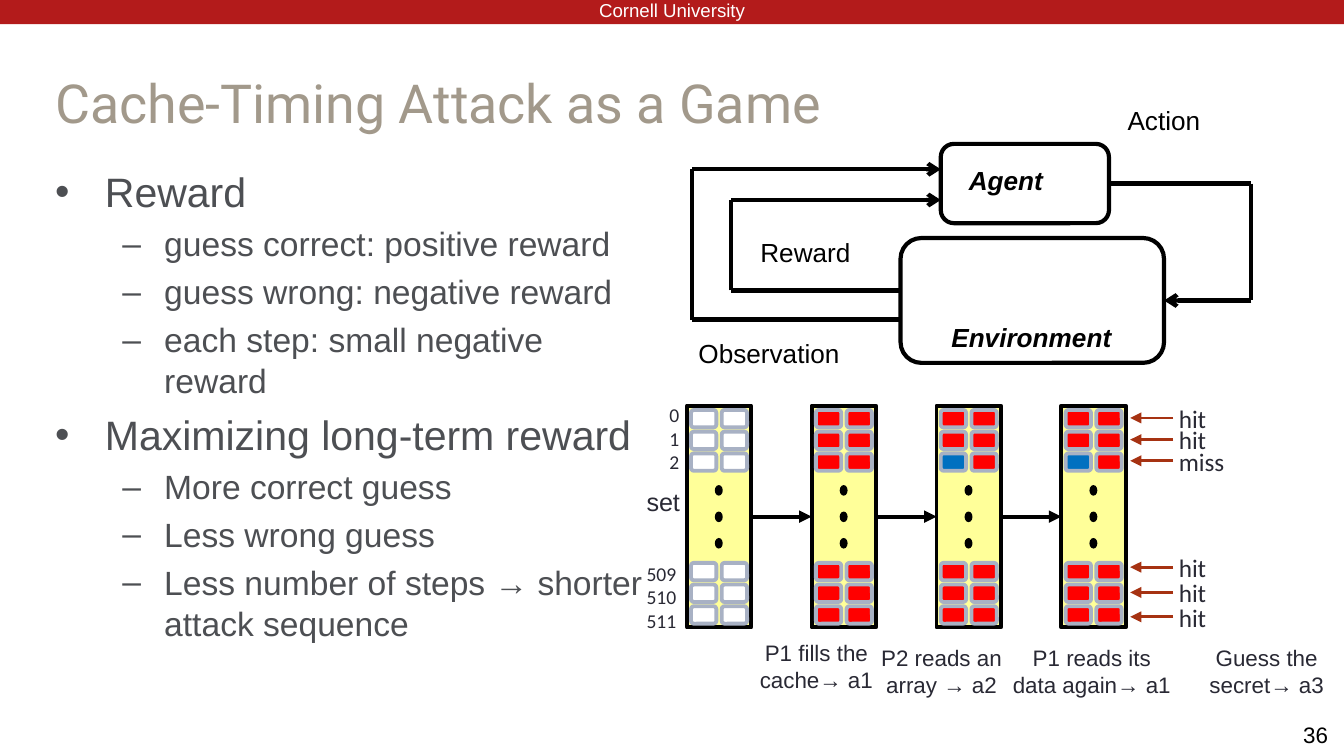
from itertools import pairwise, product

from lxml.etree import SubElement
from pptx import Presentation
from pptx.dml.color import RGBColor
from pptx.enum.shapes import MSO_CONNECTOR as Connector, MSO_SHAPE as Shape
from pptx.enum.text import MSO_ANCHOR as Anchor, MSO_AUTO_SIZE as AutoSize, PP_ALIGN as Align
from pptx.oxml.ns import qn
from pptx.util import Cm, Pt

COLORS = {
    "band": "B31B1B", "title": "A2998B", "body": "4D4F53", "label": "292934",
    "black": "000000", "white": "FFFFFF", "cache": "FFFF99", "border": "A8B1C4",
    "P1": "FF0000", "P2": "0070C0", "empty": "FFFFFF", "probe": "A63212",
}

TITLE = "Cache-Timing Attack as a Game"
GOALS = [
    ("Reward", [
        "guess correct: positive reward",
        "guess wrong: negative reward",
        "each step: small negative reward",
    ]),
    ("Maximizing long-term reward", [
        "More correct guess",
        "Less wrong guess",
        "Less number of steps → shorter attack sequence",
    ]),
]
LEVELS = [
    {"size": 22, "bullet": "•", "margin": 0.94, "hanging": 0.94},
    {"size": 18, "bullet": "–", "margin": 2.06, "hanging": 0.79},
]
CACHE_STATES = [("empty", "empty"), ("P1", "P1"), ("P1", "P2"), ("P1", "P2")]
SET_LABELS = [
    (["0", "1", "2"], 12.47, 7.52, 0.48, 1.55, "Calibri", 10.5),
    (["set"], 12.04, 9.09, 1.42, 0.79, "Arial", 13.5),
    (["509", "510", "511"], 12.04, 10.52, 1.63, 1.55, "Calibri", 10.5),
]
PROBES = [("hit", 7.9), ("hit", 8.31), ("miss", 8.71),
          ("hit", 10.72), ("hit", 11.2), ("hit", 11.66)]
STEPS = [
    ("P1 fills the cache→ a1", 13.87, 11.99, 3.12),
    ("P2 reads an array → a2", 16.41, 12.07, 2.77),
    ("P1 reads its data again→ a1", 18.92, 12.07, 3.43),
    ("Guess the secret→ a3", 22.48, 12.07, 2.92),
]
FEEDBACK = [
    [(17.02, 5.49), (13.82, 5.49), (13.82, 3.78), (17.78, 3.78)],
    [(17.02, 6.04), (13.08, 6.04), (13.08, 3.2), (17.78, 3.2)],
]
LOOP_LABELS = [
    ("Action", 21.06, 1.85, 2.77, False),
    ("Reward", 14.12, 4.34, 5.33, False),
    ("Observation", 12.95, 6.25, 4.42, False),
    ("Agent", 18.06, 2.97, 2.77, True),
    ("Environment", 17.73, 5.94, 5.33, True),
]

CACHE_LEFT, CACHE_TOP, CACHE_GAP = 12.98, 7.67, 2.36
WAY_OFFSETS = [0.08, 0.66]
ROW_OFFSETS = [start + 0.41 * i for start in (0.08, 2.97) for i in range(3)]
DOT_OFFSETS = [1.5 + 0.5 * i for i in range(3)]


def rgb(name):
    return RGBColor.from_string(COLORS[name])


def write(paragraph, text, size=12, font="Arial", color="label",
          bold=False, italic=False, align=Align.LEFT):
    paragraph.alignment = align
    run = paragraph.add_run()
    run.text = text
    run.font.size, run.font.name = Pt(size), font
    run.font.bold, run.font.italic = bold, italic
    run.font.color.rgb = rgb(color)


def place(part, left, top, width, height):
    part.left, part.top = Cm(left), Cm(top)
    part.width, part.height = Cm(width), Cm(height)


def add_label(lines, left, top, width, height, inset=(0.18, 0.1), **style):
    frame = slide.shapes.add_textbox(Cm(left), Cm(top), Cm(width), Cm(height)).text_frame
    frame.word_wrap = True
    frame.margin_left = frame.margin_right = Cm(inset[0])
    frame.margin_top = frame.margin_bottom = Cm(inset[1])
    for i, line in enumerate(lines):
        write(frame.add_paragraph() if i else frame.paragraphs[0], line, **style)


def add_block(kind, left, top, width, height, fill, line=None, weight=2.08):
    block = slide.shapes.add_shape(kind, Cm(left), Cm(top), Cm(width), Cm(height))
    block.shadow.inherit = False
    block.fill.solid()
    block.fill.fore_color.rgb = rgb(fill)
    if line:
        block.line.color.rgb = rgb(line)
        block.line.width = Pt(weight)
    else:
        block.line.fill.background()
    return block


def add_line(start, end, color="black", weight=2.25, arrow=None, source=None, target=None):
    line = slide.shapes.add_connector(Connector.STRAIGHT, *map(Cm, (*start, *end)))
    if source:
        line.begin_connect(*source)
    if target:
        line.end_connect(*target)
    line.line.color.rgb = rgb(color)
    line.line.width = Pt(weight)
    if arrow:
        SubElement(line.line._get_or_add_ln(), qn("a:tailEnd"), type=arrow)
    SubElement(line._element.spPr, qn("a:effectLst"))


def add_goal(paragraph, text, level, first):
    style = LEVELS[level]
    paragraph.level = level
    properties = paragraph._p.get_or_add_pPr()
    properties.set("marL", str(Cm(style["margin"])))
    properties.set("indent", str(-Cm(style["hanging"])))
    paragraph.space_before = Pt(0 if first else round(style["size"] * 0.23, 1))
    SubElement(properties, qn("a:buFont"), typeface="Arial")
    SubElement(properties, qn("a:buChar"), char=style["bullet"])
    write(paragraph, text, size=style["size"], color="body")


def add_cache(left, fill, third_row_fill):
    cache = add_block(Shape.RECTANGLE, left, CACHE_TOP, 1.22, 4.19, "cache", "black")
    for (row, y), (way, x) in product(enumerate(ROW_OFFSETS), enumerate(WAY_OFFSETS)):
        line_fill = third_row_fill if (row, way) == (2, 0) else fill
        add_block(Shape.ROUNDED_RECTANGLE, left + x, CACHE_TOP + y, 0.48, 0.33,
                  line_fill, "border")
    for y in DOT_OFFSETS:
        add_block(Shape.OVAL, left + 0.53, CACHE_TOP + y, 0.15, 0.2, "black")
    return cache


presentation = Presentation()
presentation.slide_width, presentation.slide_height = Cm(25.4), Cm(14.29)
slide = presentation.slides.add_slide(presentation.slide_layouts[1])

add_block(Shape.RECTANGLE, 0, 0, 25.4, 0.46, "band")
add_label(["Cornell University"], 10.06, -0.15, 5.28, 0.69, inset=(0.25, 0.13),
          size=10, color="white", align=Align.CENTER)
add_label(["36"], 24.38, 13.51, 1.02, 0.76, inset=(0.25, 0.13), color="black")

title, goals = slide.placeholders
place(title, 0.79, 1.3, 18.21, 1.24)
title.text_frame.auto_size = AutoSize.NONE
title.text_frame.vertical_anchor = Anchor.MIDDLE
write(title.text_frame.paragraphs[0], TITLE, size=28.8, font="Roboto", color="title")

place(goals, 0.79, 3.02, 11.79, 12.6)
goals.text_frame.auto_size = AutoSize.NONE
goal_lines = [line for heading, details in GOALS
              for line in [(heading, 0), *((detail, 1) for detail in details)]]
for i, (text, level) in enumerate(goal_lines):
    paragraph = goals.text_frame.add_paragraph() if i else goals.text_frame.paragraphs[0]
    add_goal(paragraph, text, level, first=i == 0)

caches = [add_cache(CACHE_LEFT + CACHE_GAP * i, *state) for i, state in enumerate(CACHE_STATES)]
for before, after in pairwise(caches):
    add_line((0, 0), (0, 0), arrow="triangle", source=(before, 3), target=(after, 1))
for lines, left, top, width, height, font, size in SET_LABELS:
    add_label(lines, left, top, width, height, font=font, size=size)
for outcome, y in PROBES:
    add_line((22.17, y), (21.36, y), "probe", 1.5, "triangle")
    add_label([outcome], 22.1, y - 0.38, 3.3, 0.79, font="Calibri", size=13.5)
for text, left, top, width in STEPS:
    add_label([text], left, top, width, 1.22, align=Align.CENTER)

environment = add_block(Shape.ROUNDED_RECTANGLE, 17.02, 4.5, 4.98, 2.36, "white", "black", 2.25)
agent = add_block(Shape.ROUNDED_RECTANGLE, 17.78, 2.72, 3.18, 1.5, "white", "black", 2.25)
action_top, action_bottom = (23.65, 3.47), (23.65, 5.68)
add_line((20.96, 3.47), action_top, source=(agent, 3))
add_line(action_top, action_bottom)
add_line(action_bottom, (22, 5.68), arrow="arrow", target=(environment, 3))
for route in FEEDBACK:
    for start, end in pairwise(route):
        add_line(start, end, arrow="arrow" if end == route[-1] else None)
for text, left, top, width, strong in LOOP_LABELS:
    add_label([text], left, top, width, 0.86, inset=(0.25, 0.13), size=14,
              color="black", bold=strong, italic=strong)

presentation.save("out.pptx")
